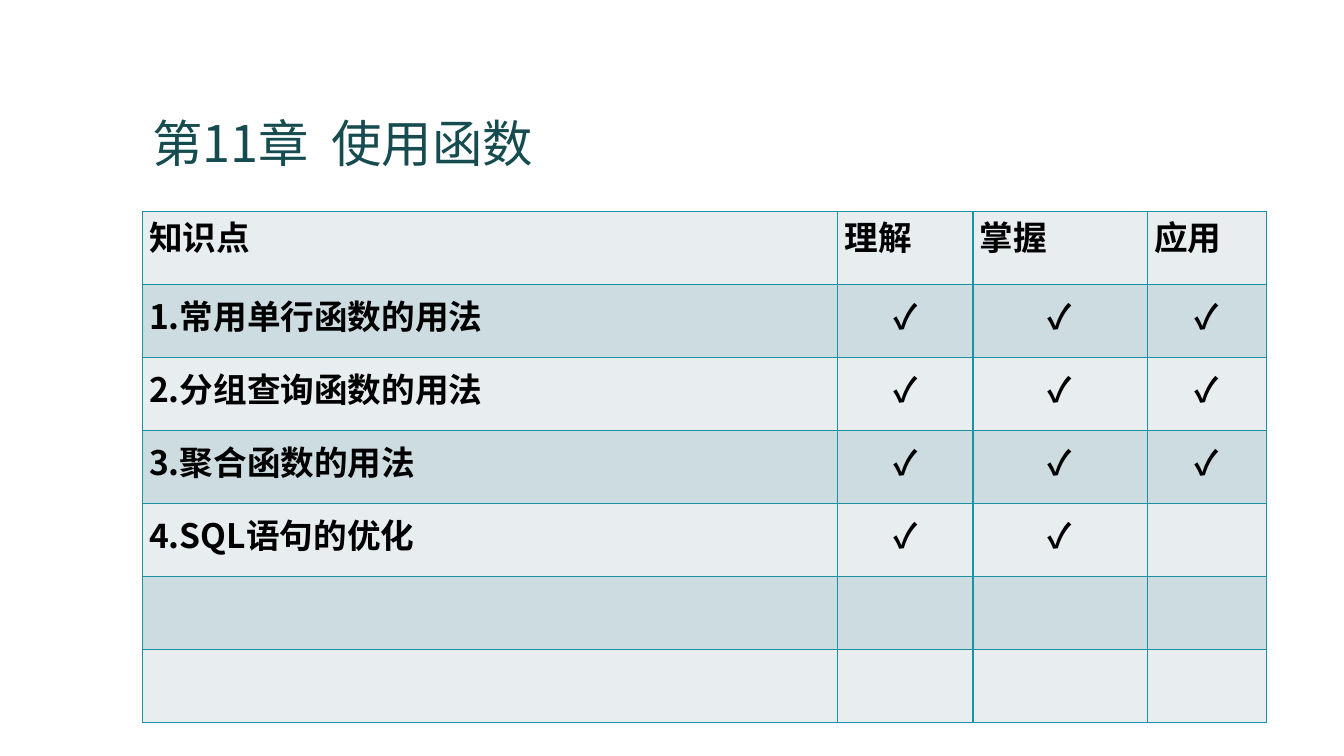
from lxml.etree import SubElement
from pptx import Presentation
from pptx.dml.color import RGBColor
from pptx.enum.text import MSO_ANCHOR, PP_ALIGN
from pptx.oxml.ns import qn
from pptx.util import Inches, Pt

TITLE_COLOR = RGBColor(0x16, 0x4B, 0x4F)
TEXT_COLOR = RGBColor(0x00, 0x00, 0x00)
BORDER_COLOR = RGBColor(0x1B, 0x91, 0xA1)
BAND_COLORS = (RGBColor(0xE8, 0xEE, 0xF0), RGBColor(0xCD, 0xDC, 0xE0))

COLUMN_WIDTHS = (6.9, 1.34, 1.73, 1.18)
HEADINGS = ("知识点", "理解", "掌握", "应用")
TOPICS = (
    ("1.常用单行函数的用法", 3),
    ("2.分组查询函数的用法", 3),
    ("3.聚合函数的用法", 3),
    ("4.SQL语句的优化", 2),
    ("", 0),
    ("", 0),
)


class ChapterSlide:
    font_name = "Noto Sans CJK SC"

    def __init__(self, presentation):
        self.slide = presentation.slides.add_slide(presentation.slide_layouts[6])

    def style_paragraph(self, paragraph, size, color, bold=False):
        font = paragraph.font
        font.name = self.font_name
        font.size = Pt(size)
        font.bold = bold
        font.color.rgb = color
        default_properties = paragraph._p.pPr.find(qn("a:defRPr"))
        SubElement(default_properties, qn("a:ea"), typeface=self.font_name)

    def add_title(self, text, left, top, width, height):
        shape = self.slide.shapes.add_textbox(
            Inches(left), Inches(top), Inches(width), Inches(height))
        frame = shape.text_frame
        frame.word_wrap = True
        frame.vertical_anchor = MSO_ANCHOR.BOTTOM
        paragraph = frame.paragraphs[0]
        paragraph.text = text
        paragraph.line_spacing = 0.9
        self.style_paragraph(paragraph, 36, TITLE_COLOR)

    def add_borders(self, cell):
        properties = cell._tc.get_or_add_tcPr()
        for side in ("a:lnL", "a:lnR", "a:lnT", "a:lnB"):
            line = SubElement(properties, qn(side), w=str(Pt(1)))
            fill = SubElement(line, qn("a:solidFill"))
            SubElement(fill, qn("a:srgbClr"), val=str(BORDER_COLOR))

    def fill_cell(self, cell, text, band_color, margin, alignment):
        self.add_borders(cell)
        cell.fill.solid()
        cell.fill.fore_color.rgb = band_color
        cell.margin_left = cell.margin_right = Inches(0.07)
        cell.margin_top = cell.margin_bottom = Inches(margin)
        paragraph = cell.text_frame.paragraphs[0]
        paragraph.text = text
        paragraph.alignment = alignment
        self.style_paragraph(paragraph, 24, TEXT_COLOR, bold=True)

    def add_table(self, rows, left, top, height):
        table = self.slide.shapes.add_table(
            len(rows), len(COLUMN_WIDTHS), Inches(left), Inches(top),
            Inches(sum(COLUMN_WIDTHS)), Inches(height)).table
        table.first_row = False
        table.horz_banding = False
        for column, width in zip(table.columns, COLUMN_WIDTHS):
            column.width = Inches(width)
        for row_index, texts in enumerate(rows):
            margin = 0.06 if row_index else 0
            for column_index, text in enumerate(texts):
                centered = row_index and column_index
                self.fill_cell(
                    table.cell(row_index, column_index), text,
                    BAND_COLORS[row_index % 2], margin,
                    PP_ALIGN.CENTER if centered else PP_ALIGN.LEFT)


def main():
    presentation = Presentation()
    presentation.slide_width = Inches(13.33)
    presentation.slide_height = Inches(7.5)
    chapter = ChapterSlide(presentation)
    chapter.add_title("第11章  使用函数", 1.41, 0.52, 10.5, 1.25)
    rows = [HEADINGS]
    for topic, levels in TOPICS:
        rows.append([topic] + ["✓"] * levels + [""] * (3 - levels))
    chapter.add_table(rows, 1.41, 2.1, 5.07)
    presentation.save("out.pptx")


if __name__ == "__main__":
    main()
